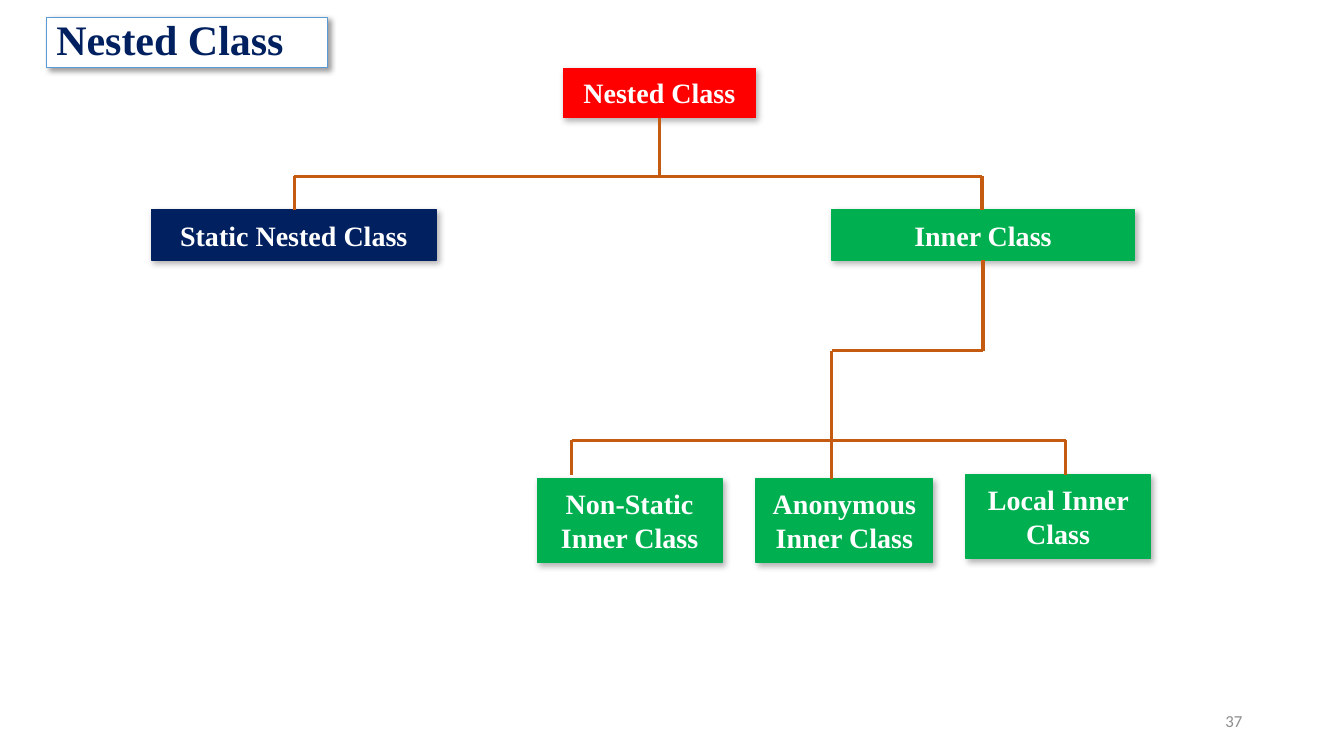
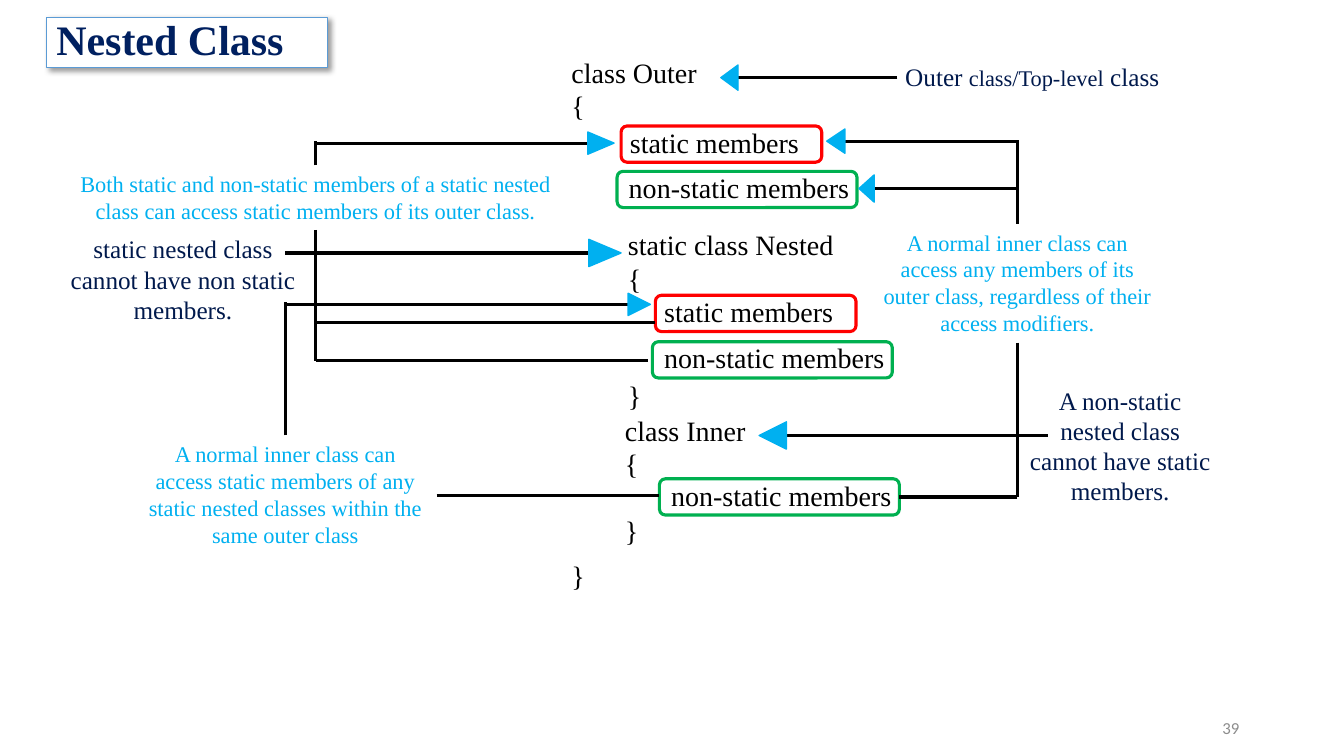
"""Build two slides about nested classes."""
from itertools import pairwise

from lxml import etree
from pptx import Presentation
from pptx.dml.color import RGBColor
from pptx.enum import shapes, text
from pptx.oxml import ns
from pptx.util import Inches, Pt

SERIF = "Times New Roman"
WHITE, BLACK, RED, GREEN = "FFFFFF", "000000", "FF0000", "00B050"
NAVY, INK, SKY, RUST, GRAY = "002060", "00194C", "00B0F0", "C55A11", "8C8C8C"
BORDER = "5B9BD5"
LINE_WIDTH = 2.25
LINE_PITCH = 0.333
LEFT, CENTER, RIGHT = text.PP_ALIGN.LEFT, text.PP_ALIGN.CENTER, text.PP_ALIGN.RIGHT


def color(value):
    return RGBColor.from_string(value)


def write(shape, paragraphs, fill, align=LEFT, bold=False, font=SERIF,
          anchor=text.MSO_ANCHOR.TOP):
    frame = shape.text_frame
    frame.word_wrap = True
    frame.vertical_anchor = anchor
    for index, runs in enumerate(paragraphs):
        paragraph = frame.paragraphs[0] if index == 0 else frame.add_paragraph()
        paragraph.alignment = align
        for words, size in runs:
            run = paragraph.add_run()
            run.text = words
            run.font.name = font
            run.font.size = Pt(size)
            run.font.bold = bold
            run.font.color.rgb = color(fill)
    return frame


def add_text(slide, box, paragraphs, fill, **style):
    shape = slide.shapes.add_textbox(*map(Inches, box))
    return write(shape, paragraphs, fill, **style)


def add_shape(slide, kind, box, fill=None, line=None, width=1):
    shape = slide.shapes.add_shape(kind, *map(Inches, box))
    shape.shadow.inherit = False
    if fill:
        shape.fill.solid()
        shape.fill.fore_color.rgb = color(fill)
    else:
        shape.fill.background()
    if line:
        shape.line.color.rgb = color(line)
        shape.line.width = Pt(width)
    else:
        shape.line.fill.background()
    return shape


def add_shadow(shape, opacity, blur, distance, angle):
    effects = shape._element.spPr.find(ns.qn("a:effectLst"))
    shadow = etree.SubElement(
        effects, ns.qn("a:outerShdw"), blurRad=str(Pt(blur)),
        dist=str(Pt(distance)), dir=str(angle * 60000), algn="tl", rotWithShape="0")
    tint = etree.SubElement(shadow, ns.qn("a:srgbClr"), val=BLACK)
    etree.SubElement(tint, ns.qn("a:alpha"), val=str(opacity * 1000))


def add_route(slide, points, stroke=BLACK):
    for start, end in pairwise(points):
        line = slide.shapes.add_connector(
            shapes.MSO_CONNECTOR.STRAIGHT, *map(Inches, (*start, *end)))
        line.line.color.rgb = color(stroke)
        line.line.width = Pt(LINE_WIDTH)
        etree.SubElement(line._element.spPr, ns.qn("a:effectLst"))


def add_arrow(slide, tail, tip, y, length, breadth):
    direction = 1 if tip > tail else -1
    base = tip - direction * length
    middle = (tip + base) / 2
    add_route(slide, [(tail, y), (base, y)])
    box = (middle - breadth / 2, y - length / 2, breadth, length)
    head = add_shape(slide, shapes.MSO_SHAPE.ISOSCELES_TRIANGLE, box, SKY, SKY)
    head.rotation = 90 * direction % 360


def add_node(slide, box, label, fill, line=None):
    node = add_shape(slide, shapes.MSO_SHAPE.FLOWCHART_PROCESS, box, fill, line)
    add_shadow(node, 30, 4.5, 2.6, 53)
    write(node, [[(label, 20)]], WHITE, align=CENTER, bold=True,
          anchor=text.MSO_ANCHOR.MIDDLE)


def add_member(slide, left, top, is_static):
    label, line, width, inset = (
        ("static members", RED, 1.99, 0.07) if is_static
        else ("non-static members", GREEN, 2.38, 0.1))
    member = add_shape(slide, shapes.MSO_SHAPE.ROUNDED_RECTANGLE,
                       (left, top, width, 0.36), line=line, width=LINE_WIDTH)
    frame = write(member, [[(label, 20)]], BLACK, anchor=text.MSO_ANCHOR.MIDDLE)
    frame.margin_left = Inches(inset)
    frame.margin_right = frame.margin_top = 0
    frame.margin_bottom = Inches(0.04)


def add_code_block(slide, left, top, heading, closing_line):
    add_text(slide, (left, top, 2.5, 0.77), [[(heading, 20)], [("{", 20)]], BLACK)
    closing_top = top + closing_line * LINE_PITCH
    add_text(slide, (left, closing_top, 0.4, 0.44), [[("}", 20)]], BLACK)


def add_note(slide, box, words, size, fill):
    add_text(slide, box, [[(words, size)]], fill, align=CENTER)


def start_slide(presentation, number, number_left, number_top):
    slide = presentation.slides.add_slide(presentation.slide_layouts[6])
    add_text(slide, (number_left, number_top, 3, 0.4), [[(number, 12)]], GRAY,
             align=RIGHT, font="Calibri", anchor=text.MSO_ANCHOR.MIDDLE)
    title = add_shape(slide, shapes.MSO_SHAPE.RECTANGLE, (0.46, 0.17, 2.79, 0.5),
                      WHITE, BORDER, 0.75)
    add_shadow(title, 40, 4, 3, 45)
    frame = write(title, [[("Nested Class", 30)]], NAVY, bold=True,
                  anchor=text.MSO_ANCHOR.MIDDLE)
    frame.paragraphs[0].line_spacing = 0.9
    return slide


def build_hierarchy(presentation):
    slide = start_slide(presentation, "37", 9.42, 6.95)
    add_node(slide, (5.58, 0.67, 1.92, 0.5), "Nested Class", RED)
    add_node(slide, (1.5, 2.08, 2.83, 0.5), "Static Nested Class", NAVY, NAVY)
    for box, label in (
        ((8.25, 2.08, 3, 0.5), "Inner Class"),
        ((5.33, 4.75, 1.83, 0.83), "Non-Static Inner Class"),
        ((7.5, 4.75, 1.75, 0.83), "Anonymous Inner Class"),
        ((9.58, 4.71, 1.83, 0.83), "Local Inner Class"),
    ):
        add_node(slide, box, label, GREEN, GREEN)
    for points in (
        [(6.54, 1.17), (6.54, 1.75)],
        [(2.92, 2.08), (2.92, 1.75), (9.74, 1.75), (9.74, 2.08)],
        [(9.75, 2.58), (9.75, 3.48), (8.25, 3.48), (8.25, 4.75)],
        [(5.67, 4.71), (5.67, 4.37), (10.57, 4.37), (10.57, 4.71)],
    ):
        add_route(slide, points, RUST)


def build_access_rules(presentation):
    slide = start_slide(presentation, "39", 9.39, 7.02)
    for left, top, heading, closing_line in (
        (5.57, 0.5, "class Outer", 15),
        (6.13, 2.21, "static class Nested", 4.5),
        (6.1, 4.05, "class Inner", 3),
    ):
        add_code_block(slide, left, top, heading, closing_line)
    for left, top, is_static in (
        (6.16, 1.25, True), (6.12, 1.7, False),
        (6.5, 2.93, True), (6.47, 3.39, False), (6.54, 4.75, False),
    ):
        add_member(slide, left, top, is_static)
    for points in (
        [(10.09, 1.39), (10.09, 2.22)],
        [(10.09, 3.4), (10.09, 4.93), (8.92, 4.93)],
        [(3.13, 1.64), (3.13, 1.4)],
        [(3.13, 2.28), (3.13, 3.58), (6.43, 3.58)],
        [(3.13, 3.2), (6.5, 3.2)],
        [(2.83, 4.32), (2.83, 3)],
        [(4.33, 4.92), (6.54, 4.92)],
    ):
        add_route(slide, points)
    for tail, tip, y, length, breadth in (
        (8.9, 7.15, 0.77, 0.17, 0.25),
        (10.09, 8.2, 1.4, 0.18, 0.24),
        (10.09, 8.52, 1.87, 0.15, 0.27),
        (10.39, 7.53, 4.32, 0.27, 0.27),
        (3.13, 6.09, 1.42, 0.26, 0.22),
        (2.83, 6.45, 3.02, 0.22, 0.22),
        (2.83, 6.16, 2.51, 0.32, 0.27),
    ):
        add_arrow(slide, tail, tip, y, length, breadth)
    add_text(slide, (8.88, 0.56, 3.42, 0.4),
             [[("Outer ", 18), ("class/Top-level", 16), (" class", 18)]], INK)
    for box, words, size, fill in (
        ((8.59, 2.22, 3, 1.18), "A normal inner class can access any members of its "
         "outer class, regardless of their access modifiers.", 16, SKY),
        ((0.66, 1.64, 4.94, 0.64), "Both static and non-static members of a static "
         "nested class can access static members of its outer class.", 16, SKY),
        ((1.33, 4.32, 3, 1.18), "A normal inner class can access static members of "
         "any static nested classes within the same outer class", 16, SKY),
        ((10.07, 3.77, 2.08, 1.31),
         "A non-static nested class cannot have static members.", 18, INK),
        ((0.55, 2.27, 2.53, 1.01),
         "static nested class cannot have non static members.", 18, INK),
    ):
        add_note(slide, box, words, size, fill)


def main():
    presentation = Presentation()
    presentation.slide_width = Inches(13.33)
    presentation.slide_height = Inches(7.5)
    build_hierarchy(presentation)
    build_access_rules(presentation)
    presentation.save("out.pptx")


if __name__ == "__main__":
    main()
